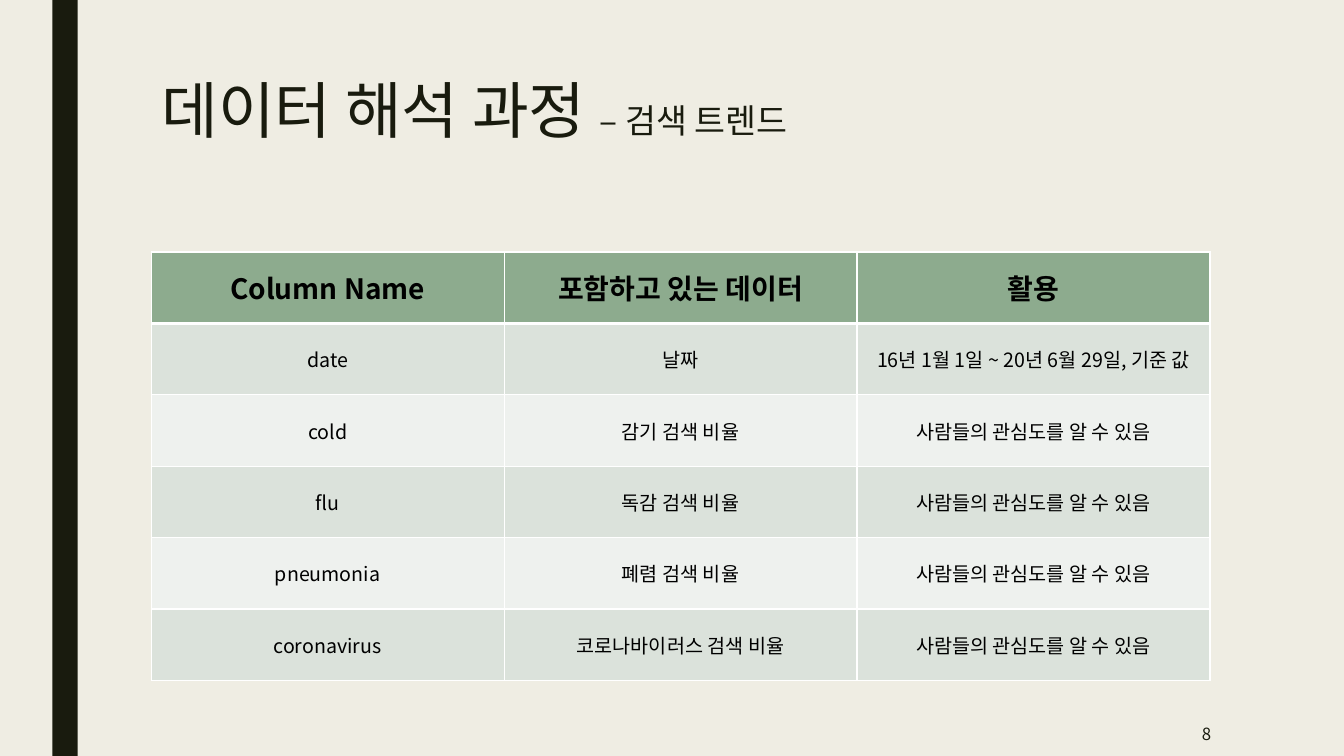
"""Builds the search trend slide with its table of data columns."""
from dataclasses import dataclass

from lxml.etree import SubElement
from pptx import Presentation
from pptx.dml.color import RGBColor
from pptx.enum.shapes import MSO_SHAPE
from pptx.enum.text import MSO_ANCHOR, MSO_AUTO_SIZE, PP_ALIGN
from pptx.oxml.ns import qn
from pptx.util import Inches, Pt


@dataclass(frozen=True)
class Theme:
    """Colours, font and type sizes of the slide."""
    font: str = "Noto Sans CJK KR"
    background: str = "EFEDE3"
    ink: str = "191B0E"
    table_ink: str = "000000"
    border: str = "FFFFFF"
    header: str = "8DAB8E"
    bands: tuple = ("DBE2DB", "EEF1EE")
    title_size: int = 44
    subtitle_size: int = 24
    header_size: int = 20
    body_size: int = 14
    number_size: int = 12


class SlideBuilder:
    """Draws each kind of element on one slide in one style."""

    def __init__(self, slide, theme):
        """Keep the slide and theme and paint the background."""
        self.slide = slide
        self.theme = theme
        self.paint(slide.background.fill, theme.background)

    def paint(self, fill, color):
        """Give a fill one solid colour."""
        fill.solid()
        fill.fore_color.rgb = RGBColor.from_string(color)

    def style(self, paragraph, size, color, align, bold=False):
        """Set the font and alignment of a paragraph."""
        paragraph.alignment = align
        font = paragraph.font
        font.name = self.theme.font
        font.size = Pt(size)
        font.bold = bold
        font.color.rgb = RGBColor.from_string(color)
        defaults = paragraph._p.get_or_add_pPr().find(qn("a:defRPr"))
        SubElement(defaults, qn("a:ea"), typeface=self.theme.font)

    def bar(self, left, top, width, height):
        """Draw a plain vertical bar."""
        bar = self.slide.shapes.add_shape(
            MSO_SHAPE.RECTANGLE, Inches(left), Inches(top), Inches(width), Inches(height))
        bar.shadow.inherit = False
        self.paint(bar.fill, self.theme.ink)
        bar.line.fill.background()

    def title(self, heading, topic, left, top, width, height):
        """Fill the title placeholder with a heading and a smaller topic."""
        title = self.slide.shapes.title
        title.left, title.top = Inches(left), Inches(top)
        title.width, title.height = Inches(width), Inches(height)
        frame = title.text_frame
        frame.auto_size = MSO_AUTO_SIZE.NONE
        frame.vertical_anchor = MSO_ANCHOR.TOP
        paragraph = frame.paragraphs[0]
        paragraph.line_spacing = 0.89
        self.style(paragraph, self.theme.title_size, self.theme.ink, PP_ALIGN.LEFT)
        paragraph.add_run().text = heading
        topic_run = paragraph.add_run()
        topic_run.text = topic
        topic_run.font.size = Pt(self.theme.subtitle_size)

    def borders(self, cell, top, bottom):
        """Outline a cell, with its own top and bottom widths."""
        properties = cell._tc.get_or_add_tcPr()
        for side, points in (("L", 1), ("R", 1), ("T", top), ("B", bottom)):
            line = SubElement(properties, qn(f"a:ln{side}"), w=str(Pt(points)))
            fill = SubElement(line, qn("a:solidFill"))
            SubElement(fill, qn("a:srgbClr"), val=self.theme.border)

    def table(self, rows, left, top, width, height):
        """Draw a table with a header row and banded body rows."""
        theme = self.theme
        table = self.slide.shapes.add_table(
            len(rows), len(rows[0]), Inches(left), Inches(top),
            Inches(width), Inches(height)).table
        for row_index, row in enumerate(rows):
            is_header = row_index == 0
            table.rows[row_index].height = Inches(height / len(rows))
            for column_index, text in enumerate(row):
                cell = table.cell(row_index, column_index)
                self.borders(cell, 3 if row_index == 1 else 1, 3 if is_header else 1)
                self.paint(cell.fill, theme.header if is_header
                           else theme.bands[(row_index - 1) % 2])
                cell.vertical_anchor = MSO_ANCHOR.MIDDLE
                if not is_header:
                    cell.margin_top = cell.margin_bottom = Inches(0.03)
                cell.text = text
                self.style(cell.text_frame.paragraphs[0],
                           theme.header_size if is_header else theme.body_size,
                           theme.table_ink, PP_ALIGN.CENTER, is_header)

    def page_number(self, number, left, top, width, height):
        """Write the page number, aligned right."""
        frame = self.slide.shapes.add_textbox(
            Inches(left), Inches(top), Inches(width), Inches(height)).text_frame
        frame.word_wrap = True
        frame.vertical_anchor = MSO_ANCHOR.MIDDLE
        frame.text = number
        self.style(frame.paragraphs[0], self.theme.number_size, self.theme.ink,
                   PP_ALIGN.RIGHT)


def main():
    """Build and save the slide."""
    presentation = Presentation()
    presentation.slide_width = Inches(13.33)
    presentation.slide_height = Inches(7.5)
    slide = presentation.slides.add_slide(presentation.slide_layouts[5])
    builder = SlideBuilder(slide, Theme())

    interest = "사람들의 관심도를 알 수 있음"
    searches = [
        ("cold", "감기 검색 비율"),
        ("flu", "독감 검색 비율"),
        ("pneumonia", "폐렴 검색 비율"),
        ("coronavirus", "코로나바이러스 검색 비율"),
    ]
    data_columns = [
        ("Column Name", "포함하고 있는 데이터", "활용"),
        ("date", "날짜", "16년 1월 1일 ~ 20년 6월 29일, 기준 값"),
        *((name, content, interest) for name, content in searches),
    ]

    builder.bar(0.52, 0, 0.25, 7.5)
    builder.title("데이터 해석 과정 ", "– 검색 트렌드", 1.5, 0.75, 10.5, 1.62)
    builder.table(data_columns, 1.5, 2.5, 10.5, 4.25)
    builder.page_number("8", 10.36, 7.06, 1.75, 0.44)
    presentation.save("out.pptx")


if __name__ == "__main__":
    main()
